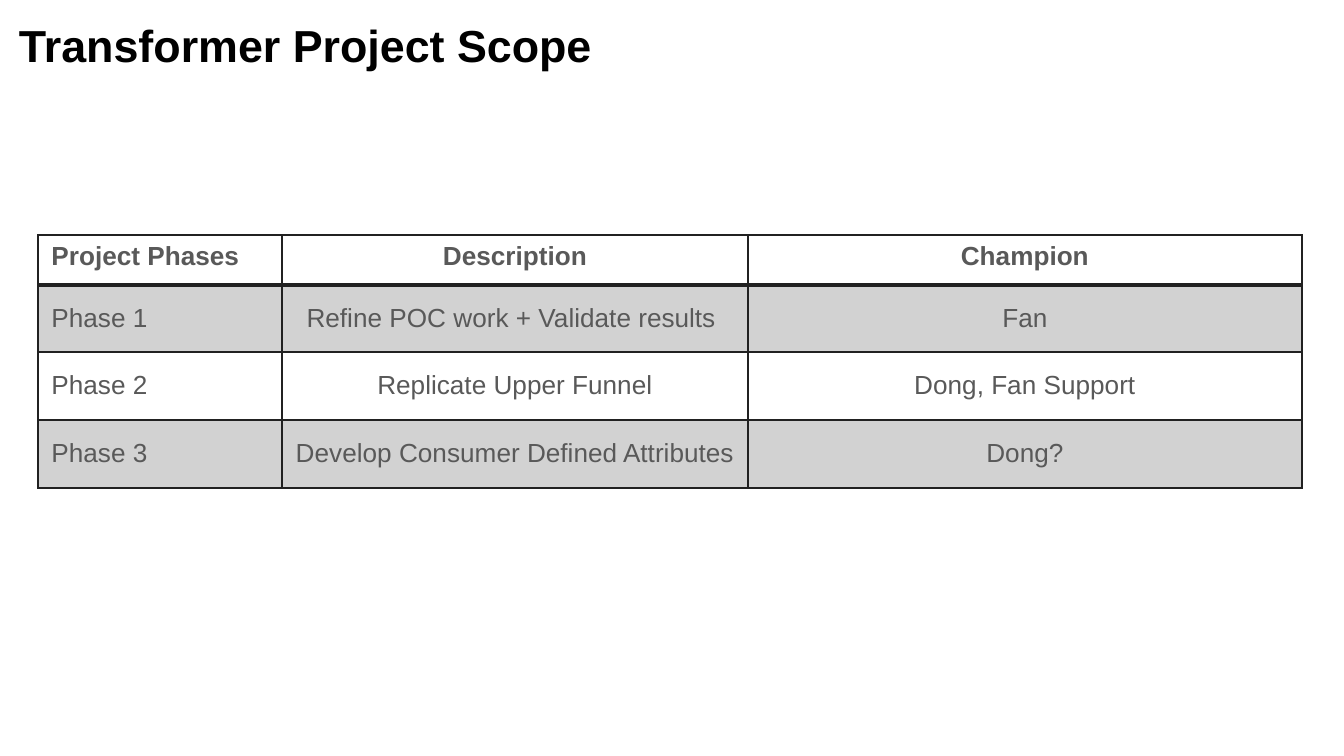
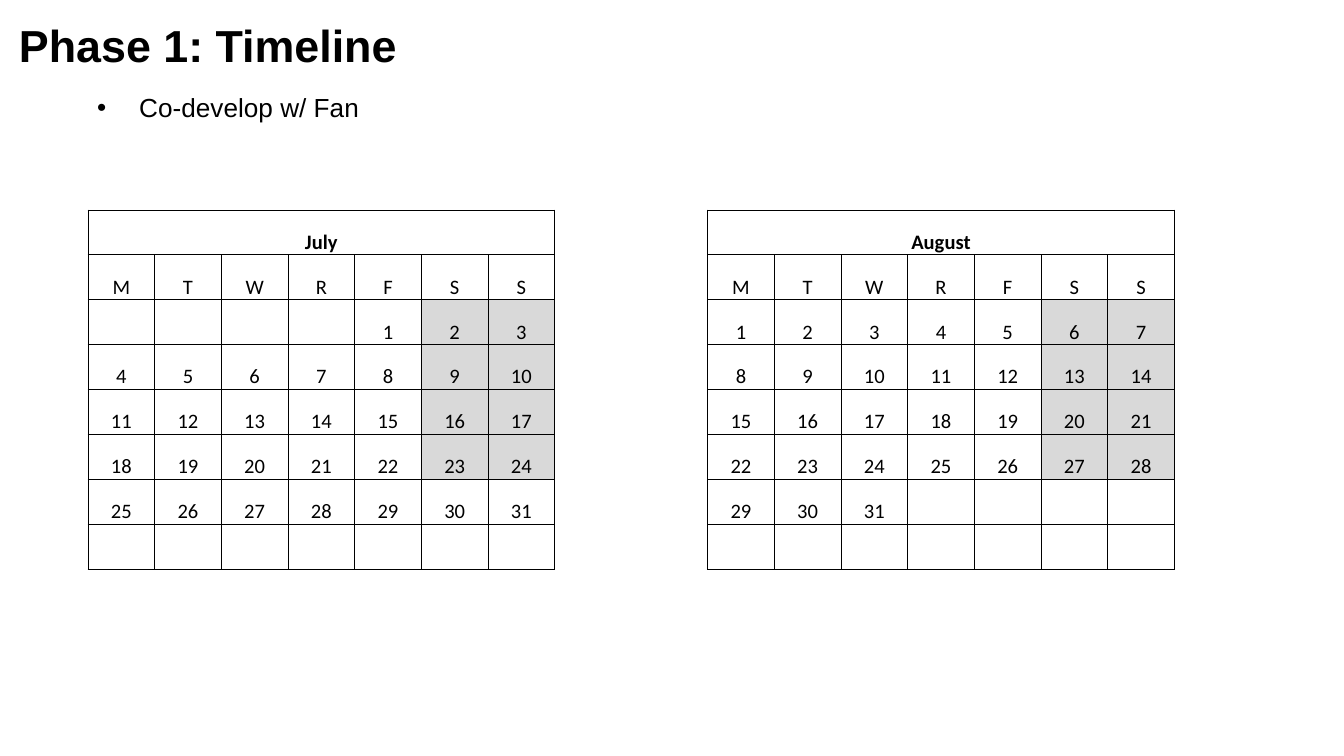
from lxml import etree
from pptx import Presentation
from pptx import util as u
from pptx.dml.color import RGBColor
from pptx.enum import text
from pptx.oxml import ns

EMU_PER_PX = 914400 / 134.4
BLACK, INK, BODY_GRAY, WEEKEND_GRAY = "000000", "212121", "595959", "D9D9D9"
LEFT, CENTER = text.PP_ALIGN.LEFT, text.PP_ALIGN.CENTER
TOP, MIDDLE, BOTTOM = text.MSO_ANCHOR.TOP, text.MSO_ANCHOR.MIDDLE, text.MSO_ANCHOR.BOTTOM
PHASES = [
    ("Project Phases", "Description", "Champion"),
    ("Phase 1", "Refine POC work + Validate results ", "Fan"),
    ("Phase 2", "Replicate Upper Funnel", "Dong, Fan Support"),
    ("Phase 3", "Develop Consumer Defined Attributes", "Dong?"),
]
WEEKDAYS = "MTWRFSS"
WEEK_ROWS = 6
MONTH_WIDTH, MONTH_GAP, CALENDAR_HEIGHT = 467, 153, 359


def px(length):
    """Turn pixels into EMU."""
    return u.Emu(round(length * EMU_PER_PX))


def color(hex_code):
    """Turn a hex string into a colour."""
    return RGBColor.from_string(hex_code)


def add(parent, tag, **attributes):
    """Append a drawing element with the given attributes."""
    return etree.SubElement(parent, ns.qn(tag), attributes)


def style(paragraph, font, size, hex_code, bold=False, align=LEFT):
    """Format a paragraph, its runs and its end mark."""
    paragraph.alignment = align
    for run in paragraph.runs:
        run.font.name, run.font.size, run.font.bold = font, u.Pt(size), bold
        run.font.color.rgb = color(hex_code)
    paragraph._p.get_or_add_endParaRPr().set("sz", str(size * 100))


def set_margins(box, left, top, right, bottom):
    """Set the inner margins of a text frame or a cell."""
    box.margin_left, box.margin_top = px(left), px(top)
    box.margin_right, box.margin_bottom = px(right), px(bottom)


def set_borders(cell, hex_code, **widths):
    """Draw the borders L, R, T and B at point widths, or hide those left out."""
    properties = cell._tc.get_or_add_tcPr()
    for side in "LRTB":
        width = widths.get(side, 0)
        line = add(properties, f"a:ln{side}", w=str(u.Pt(width)))
        if width:
            add(add(line, "a:solidFill"), "a:srgbClr", val=hex_code)
        else:
            add(line, "a:noFill")


def set_fill(cell, hex_code=None, opacity=100):
    """Fill a cell, or clear it when no colour is given."""
    if hex_code is None:
        cell.fill.background()
        return
    cell.fill.solid()
    cell.fill.fore_color.rgb = color(hex_code)
    if opacity < 100:
        shade = cell._tc.tcPr.find(ns.qn("a:solidFill")).find(ns.qn("a:srgbClr"))
        add(shade, "a:alpha", val=str(opacity * 1000))


def add_titled_slide(deck, heading):
    """Add a slide with the shared title style."""
    slide = deck.slides.add_slide(deck.slide_layouts[5])
    title = slide.shapes.title
    title.left, title.top, title.width, title.height = map(px, (6, 8, 1253, 77))
    frame = title.text_frame
    frame.text = heading
    frame.auto_size, frame.word_wrap = text.MSO_AUTO_SIZE.NONE, True
    frame.vertical_anchor = BOTTOM
    set_margins(frame, 13, 13, 13, 13)
    style(frame.paragraphs[0], "Arial", 24, BLACK, bold=True)
    return slide


def add_grid(slide, left, top, widths, heights):
    """Add a plain table with column widths and row heights in EMU."""
    grid = slide.shapes.add_table(len(heights), len(widths), px(left), px(top),
                                  sum(widths), sum(heights)).table
    grid.first_row = grid.horz_banding = False
    for column, width in zip(grid.columns, widths):
        column.width = width
    for row, height in zip(grid.rows, heights):
        row.height = height
    return grid


def add_phase_table(slide):
    """Add the table of phases, with every other row shaded."""
    grid = add_grid(slide, 38, 235, [px(w) for w in (244, 466, 554)],
                    [px(h) for h in (50, 67, 68, 68)])
    for row, entries in enumerate(PHASES):
        header = row == 0
        for column, entry in enumerate(entries):
            cell = grid.cell(row, column)
            cell.text_frame.text = entry
            cell.vertical_anchor = TOP if header else MIDDLE
            style(cell.text_frame.paragraphs[0], "Arial", 14, BODY_GRAY,
                  bold=header, align=CENTER if column else LEFT)
            set_borders(cell, INK, L=1, R=1, T=2 if row == 1 else 1, B=2 if header else 1)
            set_fill(cell, INK if row % 2 else None, opacity=20)


def month_rows(name, first_weekday, days):
    """List a month's rows: name, weekdays, then the weeks."""
    dates = [""] * first_weekday + [str(day) for day in range(1, days + 1)]
    dates += [""] * (WEEK_ROWS * 7 - len(dates))
    weeks = [dates[start:start + 7] for start in range(0, len(dates), 7)]
    return [[name] + [""] * 6, list(WEEKDAYS)] + weeks


def add_calendar(slide):
    """Add two months side by side in one table."""
    day_widths = [px(MONTH_WIDTH) // 7] * 7
    row_count = WEEK_ROWS + 2
    grid = add_grid(slide, 88, 210, day_widths + [px(MONTH_GAP)] + day_widths,
                    [px(CALENDAR_HEIGHT) // row_count] * row_count)
    july, august = month_rows("July", 4, 31), month_rows("August", 0, 31)
    for row, (july_row, august_row) in enumerate(zip(july, august)):
        for column, entry in enumerate(july_row + [""] + august_row):
            cell = grid.cell(row, column)
            cell.text_frame.text = entry
            cell.vertical_anchor = BOTTOM
            set_margins(cell, 1, 1, 1, 0)
            style(cell.text_frame.paragraphs[0], "Calibri", 11, BLACK,
                  bold=row == 0, align=CENTER)
            edge = 0 if column == 7 else 0.5
            set_borders(cell, BLACK, L=0.5, R=0.5, T=edge, B=edge)
            weekend = column % 8 in (5, 6) and 2 <= row <= 5
            set_fill(cell, WEEKEND_GRAY if weekend else None)
    for start in (0, 8):
        grid.cell(0, start).merge(grid.cell(0, start + 6))


def add_bullet(slide, note, left, top, width, height):
    """Add a text box with one bulleted line."""
    frame = slide.shapes.add_textbox(*map(px, (left, top, width, height))).text_frame
    frame.word_wrap = True
    frame.auto_size = text.MSO_AUTO_SIZE.SHAPE_TO_FIT_TEXT
    frame.text = note
    paragraph = frame.paragraphs[0]
    style(paragraph, "Arial", 14, BLACK)
    properties = paragraph._p.get_or_add_pPr()
    properties.set("marL", str(px(42)))
    properties.set("indent", str(px(-42)))
    add(add(properties, "a:buClr"), "a:srgbClr", val=BLACK)
    add(properties, "a:buFont", typeface="Arial")
    add(properties, "a:buChar", char="•")


def main():
    """Build both slides and save the deck."""
    deck = Presentation()
    deck.slide_width, deck.slide_height = px(1344), px(756)
    add_phase_table(add_titled_slide(deck, "Transformer Project Scope"))
    timeline = add_titled_slide(deck, "Phase 1: Timeline")
    add_calendar(timeline)
    add_bullet(timeline, "Co-develop w/ Fan", 84, 85, 786, 46)
    deck.save("out.pptx")


if __name__ == "__main__":
    main()
